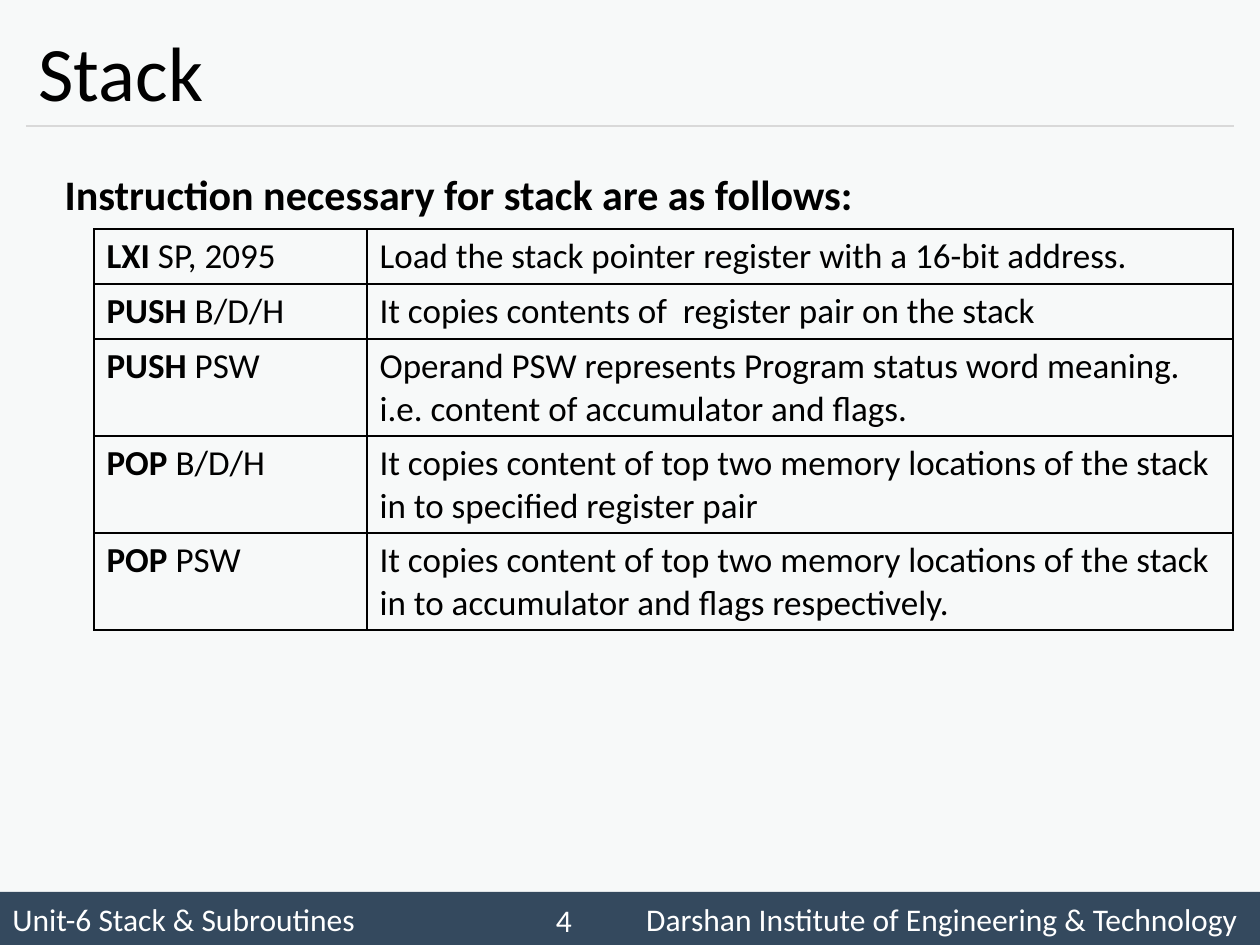
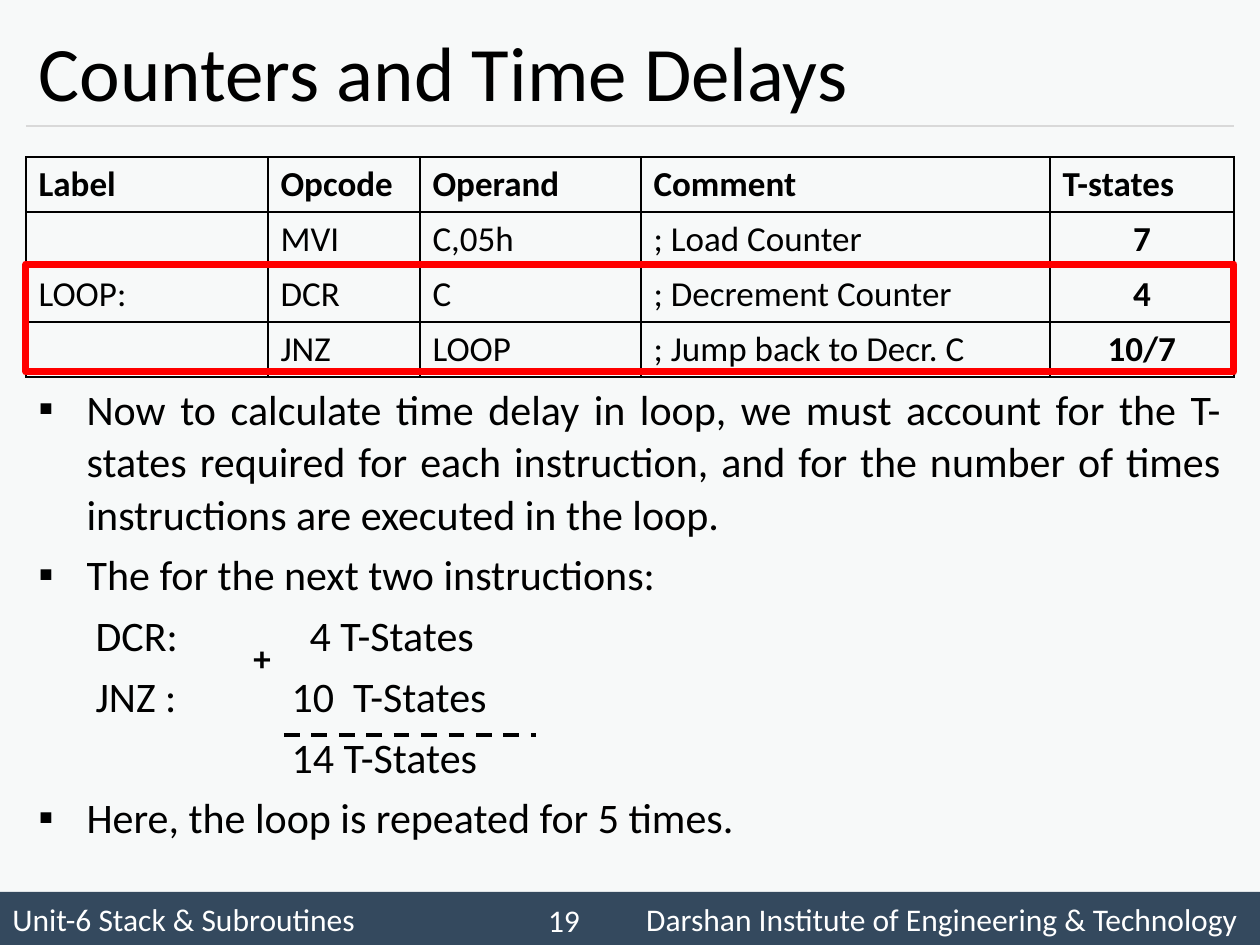
import lxml.etree
import pptx
import pptx.dml.color
import pptx.enum.dml
import pptx.enum.shapes
import pptx.enum.text
import pptx.oxml.ns
import pptx.util

SCALE = 914400 / 126
WIDE, HIGH = 1260, 945
INK, PAPER, NAVY, RULE, RED, WHITE = "000000", "F7F9F9", "34495E", "D9D9D9", "FF0000", "FFFFFF"
FONT = "Calibri"
EDGE, SPAN = 26, 1208
ALIGN = pptx.enum.text.PP_ALIGN
MIDDLE = pptx.enum.text.MSO_ANCHOR.MIDDLE
RECT = pptx.enum.shapes.MSO_SHAPE.RECTANGLE


def emu(px):
    """Turn px into EMU."""
    return pptx.util.Emu(round(px * SCALE))


def hue(code):
    """Turn a hex string into a colour."""
    return pptx.dml.color.RGBColor.from_string(code)


def adorn(item, **form):
    """Set each given format value on an item."""
    for name, value in form.items():
        setattr(item, name, value)


def child(node, tag, **attrs):
    """Add a DrawingML element under a node."""
    return lxml.etree.SubElement(node, pptx.oxml.ns.qn("a:" + tag), attrs)


def place(shape, box):
    """Move a shape to a box in px."""
    adorn(shape, **dict(zip(("left", "top", "width", "height"), map(emu, box))))


def write(para, parts, size, color=INK, align=ALIGN.LEFT):
    """Fill a paragraph with runs given as (text, bold) pairs."""
    para.alignment = align
    for text, bold in parts:
        run = para.add_run()
        run.text = text
        adorn(run.font, name=FONT, size=pptx.util.Pt(size), bold=bold)
        run.font.color.rgb = hue(color)


def label(slide, box, text, size, color=INK, align=ALIGN.LEFT, bold=False, wrap=True):
    """Add a text box with one line."""
    frame = slide.shapes.add_textbox(*map(emu, box)).text_frame
    adorn(frame, word_wrap=wrap, vertical_anchor=MIDDLE)
    write(frame.paragraphs[0], [(text, bold)], size, color, align)


def line(slide, start, end, color, width, dash=None):
    """Draw a straight line without a shadow."""
    kind = pptx.enum.shapes.MSO_CONNECTOR.STRAIGHT
    link = slide.shapes.add_connector(kind, *map(emu, start + end))
    child(link._element.spPr, "effectLst")
    link.line.color.rgb = hue(color)
    adorn(link.line, width=pptx.util.Pt(width), dash_style=dash)


def footer(slide, box, page):
    """Draw the bottom band with unit, page number and school."""
    left, top, width, height = box
    band = slide.shapes.add_shape(RECT, *map(emu, box))
    band.shadow.inherit = False
    band.fill.solid()
    band.fill.fore_color.rgb = hue(NAVY)
    band.line.fill.background()
    band.text_frame.vertical_anchor = MIDDLE
    write(band.text_frame.paragraphs[0], [("Unit-6 Stack & Subroutines", False)], 18, WHITE)
    label(slide, (left + 514, top + 2, 100, height - 2), str(page), 18, WHITE, ALIGN.CENTER)
    label(slide, (left + 620, top, width - 630, height),
          "Darshan Institute of Engineering & Technology", 18, WHITE, ALIGN.RIGHT)


def frame(deck, title, page):
    """Add a slide with its title, rule and footer."""
    slide = deck.slides.add_slide(deck.slide_layouts[1])
    footer(slide, (0, 892, WIDE, HIGH - 892), page)
    line(slide, (EDGE, 126), (EDGE + SPAN, 126), RULE, 0.75)
    head = slide.shapes.title
    place(head, (EDGE, 15, SPAN, 111))
    adorn(head.text_frame, vertical_anchor=MIDDLE, auto_size=pptx.enum.text.MSO_AUTO_SIZE.NONE)
    write(head.text_frame.paragraphs[0], [(title, False)], 44)
    return slide


def body(slide, box, items, pitch):
    """Fill the body with (text, bold, margin, indent, mark) items."""
    shape = slide.placeholders[1]
    place(shape, box)
    text = shape.text_frame
    text.auto_size = pptx.enum.text.MSO_AUTO_SIZE.NONE
    for index, (words, bold, margin, indent, mark) in enumerate(items):
        para = text.add_paragraph() if index else text.paragraphs[0]
        adorn(para, line_spacing=pitch, space_before=pptx.util.Pt(4.8 if index else 0))
        props = para._p.get_or_add_pPr()
        props.set("marL", str(emu(margin)))
        props.set("indent", str(emu(indent)))
        if mark:
            child(props, "buFont", typeface=FONT)
            child(props, "buChar", char=mark)
        else:
            child(props, "buNone")
        write(para, [(words, bold)], 24, align=ALIGN.JUSTIFY)


def border(cell):
    """Give a clear cell a thin black border."""
    cell.fill.background()
    props = cell._tc.get_or_add_tcPr()
    for index, side in enumerate(("lnL", "lnR", "lnT", "lnB")):
        edge = child(props, side, w="12700")
        child(child(edge, "solidFill"), "srgbClr", val=INK)
        props.insert(index, edge)


def strip(slide, box, cols, cells):
    """Add a one-row table of (runs, align) cells."""
    table = slide.shapes.add_table(1, len(cols), *map(emu, box)).table
    adorn(table, first_row=False, horz_banding=False)
    for index, (width, (parts, align)) in enumerate(zip(cols, cells)):
        table.columns[index].width = emu(width)
        cell = table.cell(0, index)
        border(cell)
        if parts:
            write(cell.text_frame.paragraphs[0], parts, 20, align=align)


def stack(deck):
    """Build the slide on stack instructions."""
    slide = frame(deck, "Stack", 4)
    body(slide, (52, 155, SPAN, 735),
         [("Instruction necessary for stack are as follows:", True, 0, 0, None)], 1.14)
    cols = (273, 866)
    rows = [
        ("LXI", " SP, 2095", "Load the stack pointer register with a 16-bit address.", 55),
        ("PUSH", " B/D/H", "It copies contents of  register pair on the stack", 55),
        ("PUSH", " PSW", "Operand PSW represents Program status word meaning. "
         "i.e. content of accumulator and flags.", 97),
        ("POP", " B/D/H", "It copies content of top two memory locations of the stack "
         "in to specified register pair", 97),
        ("POP", " PSW", "It copies content of top two memory locations of the stack "
         "in to accumulator and flags respectively.", 97),
    ]
    top = 229
    for code, rest, note, height in rows:
        cells = [([(code, True), (rest, False)], ALIGN.LEFT), ([(note, False)], ALIGN.LEFT)]
        strip(slide, (94, top, sum(cols), height), cols, cells)
        top += height


def delay(deck):
    """Build the slide on counters and loop delay."""
    slide = frame(deck, "Counters and Time Delays", 19)
    mark, hang = "▪", 48
    start, stop = 57, 253
    body(slide, (EDGE, 375, SPAN, 497), [
        ("Now to calculate time delay in loop, we must account for the T-states required "
         "for each instruction, and for the number of times instructions are executed "
         "in the loop.", False, hang, -hang, mark),
        ("The for the next two instructions:", False, hang, -hang, mark),
        ("DCR:\t4 T-States", False, stop + 18, start - stop - 18, None),
        ("JNZ :\t10  T-States", False, stop, start - stop, None),
        ("14 T-States", False, stop, 0, None),
        ("Here, the loop is repeated for 5 times.", False, hang, -hang, mark),
    ], 1.04)
    cols = (242, 152, 221, 409, 184)
    rows = [
        ("Label", "Opcode", "Operand", "Comment", "T-states"),
        ("", "MVI", "C,05h", "; Load Counter", "7"),
        ("LOOP:", "DCR", "C", "; Decrement Counter", "4"),
        ("", "JNZ", "LOOP", "; Jump back to Decr. C", "10/7"),
    ]
    for index, row in enumerate(rows):
        cells = []
        for col, text in enumerate(row):
            last = col == len(cols) - 1
            align = ALIGN.CENTER if last and index else ALIGN.LEFT
            cells.append(([(text, last or not index)] if text else [], align))
        strip(slide, (EDGE, 157 + 55 * index, SPAN, 55), cols, cells)
    loop = slide.shapes.add_shape(RECT, *map(emu, (EDGE, 264, SPAN, 108)))
    loop.shadow.inherit = False
    loop.fill.background()
    loop.line.color.rgb = hue(RED)
    loop.line.width = pptx.util.Pt(4)
    label(slide, (241, 630, 45, 55), "+", 20, bold=True, wrap=False)
    line(slide, (284, 735), (536, 735), INK, 2.25, pptx.enum.dml.MSO_LINE.DASH)


def main():
    """Build and save the deck."""
    deck = pptx.Presentation()
    adorn(deck, slide_width=emu(WIDE), slide_height=emu(HIGH))
    ground = deck.slide_master.background.fill
    ground.solid()
    ground.fore_color.rgb = hue(PAPER)
    stack(deck)
    delay(deck)
    deck.save("out.pptx")


if __name__ == "__main__":
    main()
